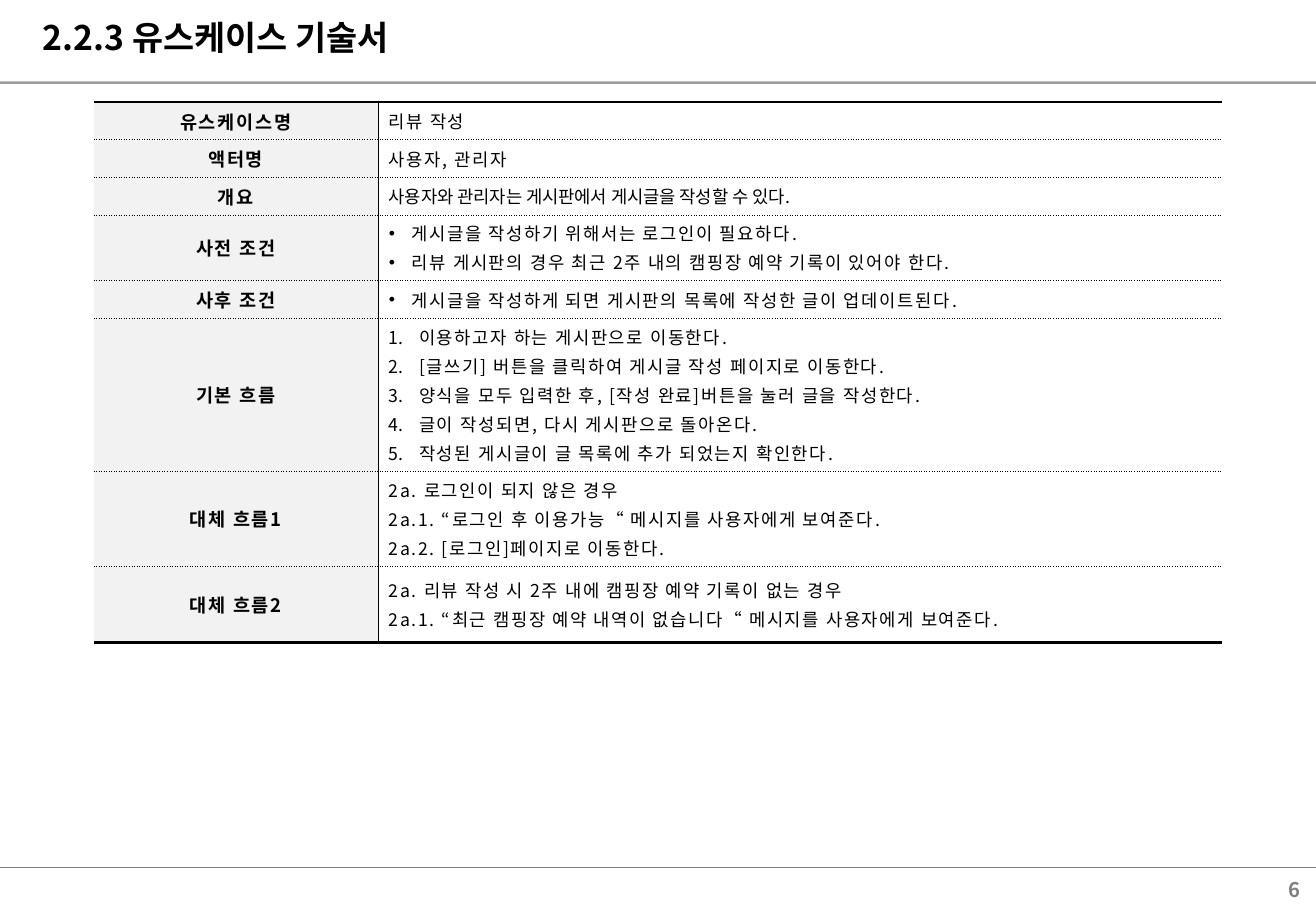
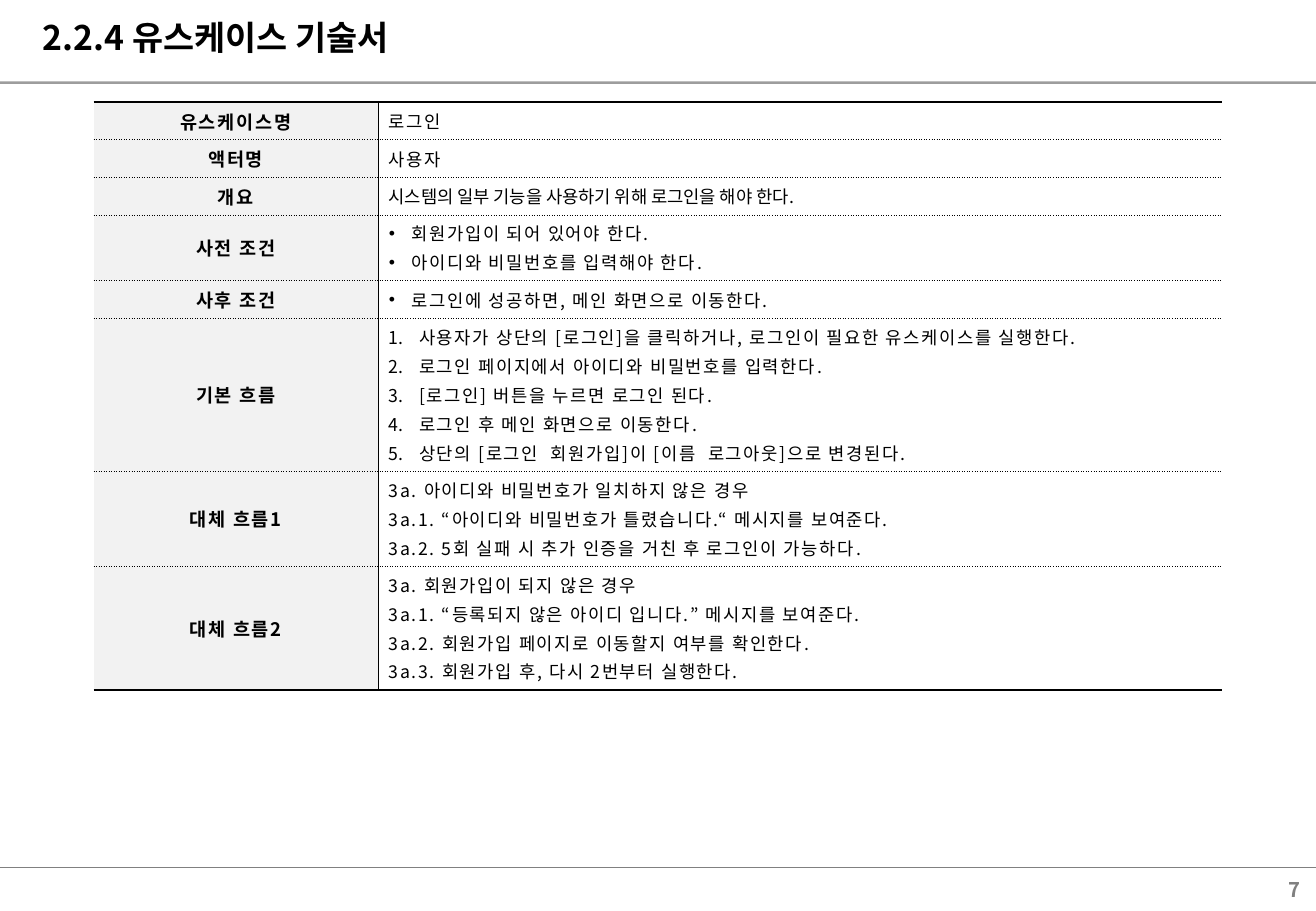
from lxml import etree
from pptx import Presentation
from pptx import util as u
from pptx.dml.color import RGBColor
from pptx.enum import shapes, text
from pptx.oxml import ns

FONT = "Noto Sans CJK KR"
BLACK, GRAY, LABEL_FILL, WHITE = "000000", "808080", "F2F2F2", "FFFFFF"
WIDTH, HEIGHT = 10.83, 7.5
TABLE_LEFT, TABLE_TOP = 0.77, 0.84
COLUMN_WIDTHS = (2.34, 6.95)
THICK, THIN, DOTTED = (1.5, "solid"), (0.5, "solid"), (0.5, "dot")
BULLETS = {
    "bullet": (0.19, "buChar", {"char": "•"}),
    "number": (0.25, "buAutoNum", {"type": "arabicPeriod"}),
}
ROW_KINDS = (
    ("유스케이스명", "plain"),
    ("액터명", "plain"),
    ("개요", "tight"),
    ("사전 조건", "bullet"),
    ("사후 조건", "bullet"),
    ("기본 흐름", "number"),
    ("대체 흐름1", "plain"),
    ("대체 흐름2", "plain"),
)
USE_CASES = (
    ("2.2.3 유스케이스 기술서", "6", (
        ("리뷰 작성",),
        ("사용자, 관리자",),
        ("사용자와 관리자는 게시판에서 게시글을 작성할 수 있다.",),
        ("게시글을 작성하기 위해서는 로그인이 필요하다.",
         "리뷰 게시판의 경우 최근 2주 내의 캠핑장 예약 기록이 있어야 한다."),
        ("게시글을 작성하게 되면 게시판의 목록에 작성한 글이 업데이트된다.",),
        ("이용하고자 하는 게시판으로 이동한다.",
         "[글쓰기] 버튼을 클릭하여 게시글 작성 페이지로 이동한다.",
         "양식을 모두 입력한 후, [작성 완료]버튼을 눌러 글을 작성한다.",
         "글이 작성되면, 다시 게시판으로 돌아온다.",
         "작성된 게시글이 글 목록에 추가 되었는지 확인한다."),
        ("2a. 로그인이 되지 않은 경우",
         "2a.1. “로그인 후 이용가능“ 메시지를 사용자에게 보여준다.",
         "2a.2. [로그인]페이지로 이동한다."),
        ("2a. 리뷰 작성 시 2주 내에 캠핑장 예약 기록이 없는 경우",
         "2a.1. “최근 캠핑장 예약 내역이 없습니다“ 메시지를 사용자에게 보여준다."),
    )),
    ("2.2.4 유스케이스 기술서", "7", (
        ("로그인",),
        ("사용자",),
        ("시스템의 일부 기능을 사용하기 위해 로그인을 해야 한다.",),
        ("회원가입이 되어 있어야 한다.",
         "아이디와 비밀번호를 입력해야 한다."),
        ("로그인에 성공하면, 메인 화면으로 이동한다.",),
        ("사용자가 상단의 [로그인]을 클릭하거나, 로그인이 필요한 유스케이스를 실행한다.",
         "로그인 페이지에서 아이디와 비밀번호를 입력한다.",
         "[로그인] 버튼을 누르면 로그인 된다.",
         "로그인 후 메인 화면으로 이동한다.",
         "상단의 [로그인  회원가입]이 [이름  로그아웃]으로 변경된다."),
        ("3a. 아이디와 비밀번호가 일치하지 않은 경우",
         "3a.1. “아이디와 비밀번호가 틀렸습니다.“ 메시지를 보여준다.",
         "3a.2. 5회 실패 시 추가 인증을 거친 후 로그인이 가능하다."),
        ("3a. 회원가입이 되지 않은 경우",
         "3a.1. “등록되지 않은 아이디 입니다.” 메시지를 보여준다.",
         "3a.2. 회원가입 페이지로 이동할지 여부를 확인한다.",
         "3a.3. 회원가입 후, 다시 2번부터 실행한다."),
    )),
)


def paint(color_format, value):
    """Give a fill or a font the solid colour of a hex string."""
    if hasattr(color_format, "solid"):
        color_format.solid()
        color_format = color_format.fore_color
    else:
        color_format = color_format.color
    color_format.rgb = RGBColor.from_string(value)


def add_child(parent, tag, **attributes):
    """Append a DrawingML element and return it."""
    return etree.SubElement(parent, ns.qn(f"a:{tag}"), attributes)


def add_span(para, words, size, color=BLACK, bold=True, spacing=0):
    """Add one formatted run to a paragraph."""
    span = para.add_run()
    span.text = words
    span.font.size = u.Pt(size)
    span.font.bold = bold
    span.font.name = FONT
    paint(span.font, color)
    properties = span.font._element
    properties.set("spc", str(spacing * 100))
    add_child(properties, "ea", typeface=FONT)


def add_bullet(para, kind):
    """Give a paragraph a hanging bullet or number."""
    indent, tag, attributes = BULLETS[kind]
    properties = para._p.get_or_add_pPr()
    properties.set("marL", str(u.Inches(indent)))
    properties.set("indent", str(u.Inches(-indent)))
    add_child(properties, "buFont", typeface="Arial")
    add_child(properties, tag, **attributes)


def add_rule(slide, layout, top, weight, opacity=100):
    """Draw a full-width grey rule and place it on the layout."""
    rule = slide.shapes.add_connector(
        shapes.MSO_CONNECTOR.STRAIGHT, 0, u.Inches(top), u.Inches(WIDTH), u.Inches(top))
    rule.line.width = u.Pt(weight)
    paint(rule.line.fill, GRAY)
    properties = rule.element.spPr
    color = properties.find(".//" + ns.qn("a:srgbClr"))
    add_child(color, "alpha", val=str(opacity * 1000))
    add_child(properties, "effectLst")
    layout.shapes.element.append(rule.element)


def set_title(slide, words):
    """Place and format the title placeholder."""
    title = slide.shapes.title
    title.left, title.top, title.width, title.height = map(u.Inches, (0.25, 0.09, 10.43, 0.49))
    frame = title.text_frame
    frame.auto_size = text.MSO_AUTO_SIZE.NONE
    frame.vertical_anchor = text.MSO_ANCHOR.TOP
    para = frame.paragraphs[0]
    para.alignment = text.PP_ALIGN.LEFT
    add_span(para, words, 20)


def add_page_number(slide, number):
    """Write the page number at the lower right."""
    box = slide.shapes.add_textbox(*map(u.Inches, (8.36, 7.17, 2.44, 0.31)))
    frame = box.text_frame
    frame.word_wrap = True
    frame.vertical_anchor = text.MSO_ANCHOR.MIDDLE
    para = frame.paragraphs[0]
    para.alignment = text.PP_ALIGN.RIGHT
    add_span(para, number, 12, GRAY)


def set_borders(cell, **sides):
    """Draw the named sides of a cell and clear the others."""
    properties = cell._tc.get_or_add_tcPr()
    for side in "LRTB":
        if side not in sides:
            add_child(add_child(properties, f"ln{side}", w="0"), "noFill")
            continue
        weight, dash = sides[side]
        line = add_child(properties, f"ln{side}", w=str(u.Pt(weight)))
        add_child(add_child(line, "solidFill"), "srgbClr", val=BLACK)
        add_child(line, "prstDash", val=dash)


def fill_cell(cell, lines, kind):
    """Write the lines of a label or content cell."""
    is_label = kind == "label"
    paint(cell.fill, LABEL_FILL if is_label else WHITE)
    cell.vertical_anchor = text.MSO_ANCHOR.MIDDLE
    cell.margin_left = cell.margin_right = u.Inches(0.09)
    cell.margin_top = cell.margin_bottom = u.Pt(3.3)
    for index, words in enumerate(lines):
        para = cell.text_frame.add_paragraph() if index else cell.text_frame.paragraphs[0]
        para.alignment = text.PP_ALIGN.CENTER if is_label else text.PP_ALIGN.LEFT
        para.space_before = u.Pt(2 if index else 0)
        if kind in BULLETS:
            add_bullet(para, kind)
        add_span(para, words, 11 if is_label else 10.5, bold=is_label,
                 spacing=0 if kind == "tight" else 1)


def add_use_case_table(slide, contents):
    """Add the table that describes one use case."""
    heights = [max(0.31, 0.06 + 0.24 * len(lines)) for lines in contents]
    heights[-1] = max(0.63, heights[-1])
    frame = slide.shapes.add_table(
        len(contents), 2, *map(u.Inches, (TABLE_LEFT, TABLE_TOP, sum(COLUMN_WIDTHS), sum(heights))))
    table = frame.table
    table.first_row = table.horz_banding = False
    for column, width in zip(table.columns, COLUMN_WIDTHS):
        column.width = u.Inches(width)
    last = len(contents) - 1
    for index, ((label, kind), lines) in enumerate(zip(ROW_KINDS, contents)):
        table.rows[index].height = u.Inches(heights[index])
        edges = {"T": DOTTED if index else THICK, "B": THICK if index == last else DOTTED}
        label_cell, content_cell = table.cell(index, 0), table.cell(index, 1)
        set_borders(label_cell, R=THIN, **edges)
        set_borders(content_cell, L=THIN, **edges)
        fill_cell(label_cell, (label,), "label")
        fill_cell(content_cell, lines, kind)


def main():
    """Build and save the use case deck."""
    deck = Presentation()
    deck.slide_width, deck.slide_height = u.Inches(WIDTH), u.Inches(HEIGHT)
    layout = deck.slide_layouts[5]
    for title, number, contents in USE_CASES:
        slide = deck.slides.add_slide(layout)
        set_title(slide, title)
        add_page_number(slide, number)
        add_use_case_table(slide, contents)
    add_rule(slide, layout, 7.14, 0.75)
    add_rule(slide, layout, 0.68, 1.5, 76)
    deck.save("out.pptx")


if __name__ == "__main__":
    main()
